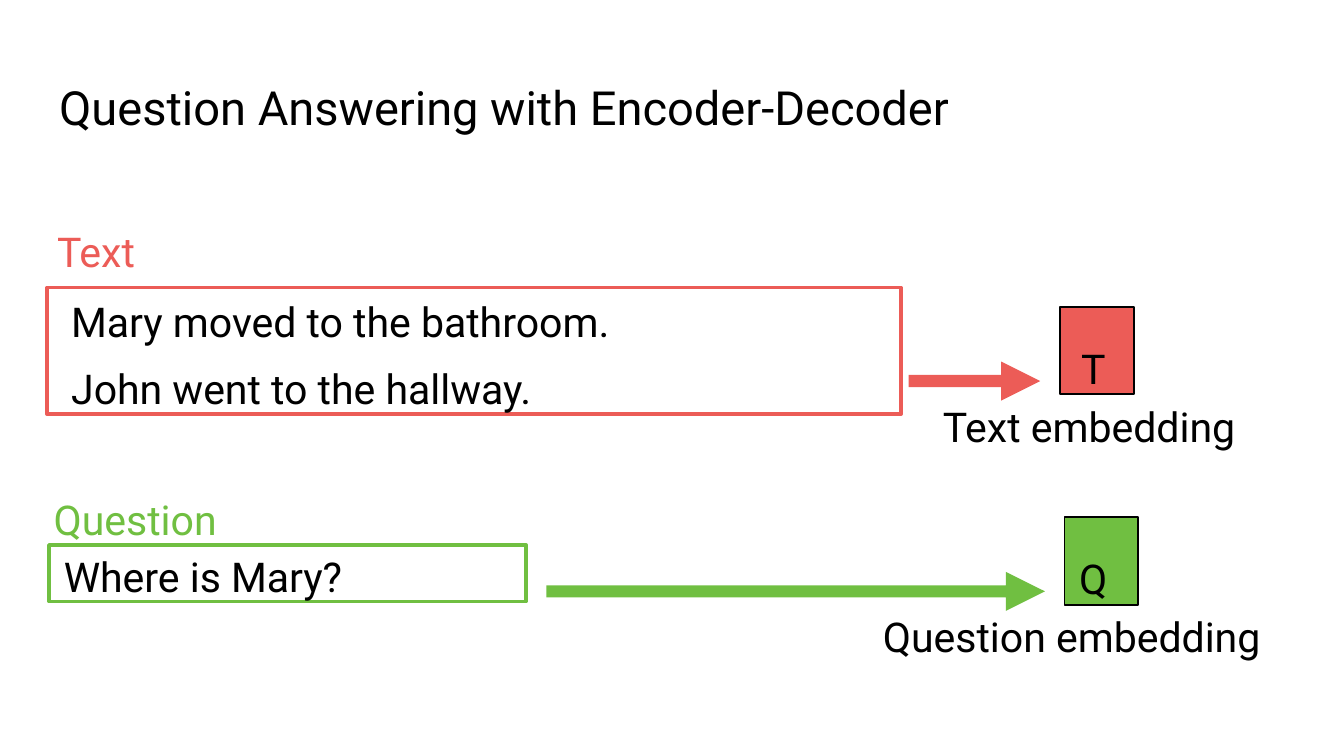
from collections import namedtuple

from pptx import Presentation
from pptx import util as u
from pptx.dml.color import RGBColor
from pptx.enum import shapes, text

FONT = "Roboto"
BLACK, RED, GREEN = "000000", "EC5C57", "70BF41"
CELL = u.Inches(0.1)
LABEL_HEIGHT = 3.8
HEAD = 2.9
SHAFT = 0.9

Box = namedtuple("Box", "left top width height")


def cells(*counts):
    return [u.Emu(round(count * CELL)) for count in counts]


def colour(value):
    return RGBColor.from_string(value)


def write(shape, lines, size=22, ink=BLACK, left=0.1, top=0.1, gap=0):
    frame = shape.text_frame
    frame.word_wrap = True
    frame.vertical_anchor = text.MSO_ANCHOR.TOP
    frame.margin_left, frame.margin_top = cells(left, top)
    frame.margin_right = frame.margin_bottom = 0
    frame.text = "\n".join(lines)
    for number, para in enumerate(frame.paragraphs):
        para.alignment = text.PP_ALIGN.LEFT
        para.space_before = u.Pt(gap if number else 0)
        for span in para.runs:
            span.font.name = FONT
            span.font.size = u.Pt(size)
            span.font.color.rgb = colour(ink)


def paint(shape, fill=None, line=None, weight=1):
    shape.shadow.inherit = False
    if fill:
        shape.fill.solid()
        shape.fill.fore_color.rgb = colour(fill)
    else:
        shape.fill.background()
    if line:
        shape.line.color.rgb = colour(line)
        shape.line.width = u.Pt(weight)
    else:
        shape.line.fill.background()


def add_rectangle(page, box):
    return page.shapes.add_shape(shapes.MSO_SHAPE.RECTANGLE, *cells(*box))


def add_label(page, box, wording, ink=BLACK):
    write(page.shapes.add_textbox(*cells(*box)), [wording], ink=ink)


def add_title(page, box, wording):
    title = page.shapes.title
    title.left, title.top, title.width, title.height = cells(*box)
    write(title, [wording], size=25.2, left=1, top=1)


def add_arrow(page, box, fill):
    right = box.left + box.width
    neck = right - HEAD
    middle = box.top + box.height / 2
    upper, lower = middle - SHAFT / 2, middle + SHAFT / 2
    outline = [
        (box.left, upper), (neck, upper), (neck, box.top), (right, middle),
        (neck, box.top + box.height), (neck, lower), (box.left, lower),
    ]
    points = [cells(*point) for point in outline]
    builder = page.shapes.build_freeform(*points[0], scale=1.0)
    builder.add_line_segments(points[1:], close=True)
    paint(builder.convert_to_shape(), fill=fill)


def add_source(page, box, heading, heading_box, lines, ink, left, top):
    frame = add_rectangle(page, box)
    paint(frame, line=ink, weight=2)
    write(frame, lines, left=left, top=top, gap=9.6)
    shift, rise, width = heading_box
    place = Box(box.left + shift, box.top - rise, width, LABEL_HEIGHT)
    add_label(page, place, heading, ink)


def add_embedding(page, box, letter, indent, caption, reach, width, tail, fill):
    add_arrow(page, Box(box.left - 1.45 - tail, box.top + 4.05, tail, HEAD), fill)
    tile = add_rectangle(page, box)
    paint(tile, fill=fill, line=BLACK)
    write(tile, [letter], left=indent, top=2.7)
    place = Box(box.left - reach, box.top + 6.9, width, LABEL_HEIGHT)
    add_label(page, place, caption)


def main():
    deck = Presentation()
    deck.slide_width, deck.slide_height = cells(100, 56.25)
    page = deck.slides.add_slide(deck.slide_layouts[5])
    add_title(page, Box(3.4, 4.85, 93.2, 6.3),
              "Question Answering with Encoder-Decoder")
    add_source(page, Box(3.5, 21.4, 63.55, 9.4), "Text", (0.65, 4.65, 9.7),
               ["Mary moved to the bathroom.", "John went to the hallway."],
               RED, left=1.8, top=0.67)
    add_source(page, Box(3.65, 40.55, 35.5, 4.2), "Question", (0.25, 3.85, 20.3),
               ["Where is Mary?"], GREEN, left=1.1, top=0.5)
    add_embedding(page, Box(78.85, 22.85, 5.5, 6.5), "T", 1.6,
                  "Text embedding", 8.8, 23.2, 9.8, RED)
    add_embedding(page, Box(79.2, 38.5, 5.5, 6.5), "Q", 1.1,
                  "Question embedding", 13.6, 32.8, 37.1, GREEN)
    deck.save("out.pptx")


if __name__ == "__main__":
    main()
